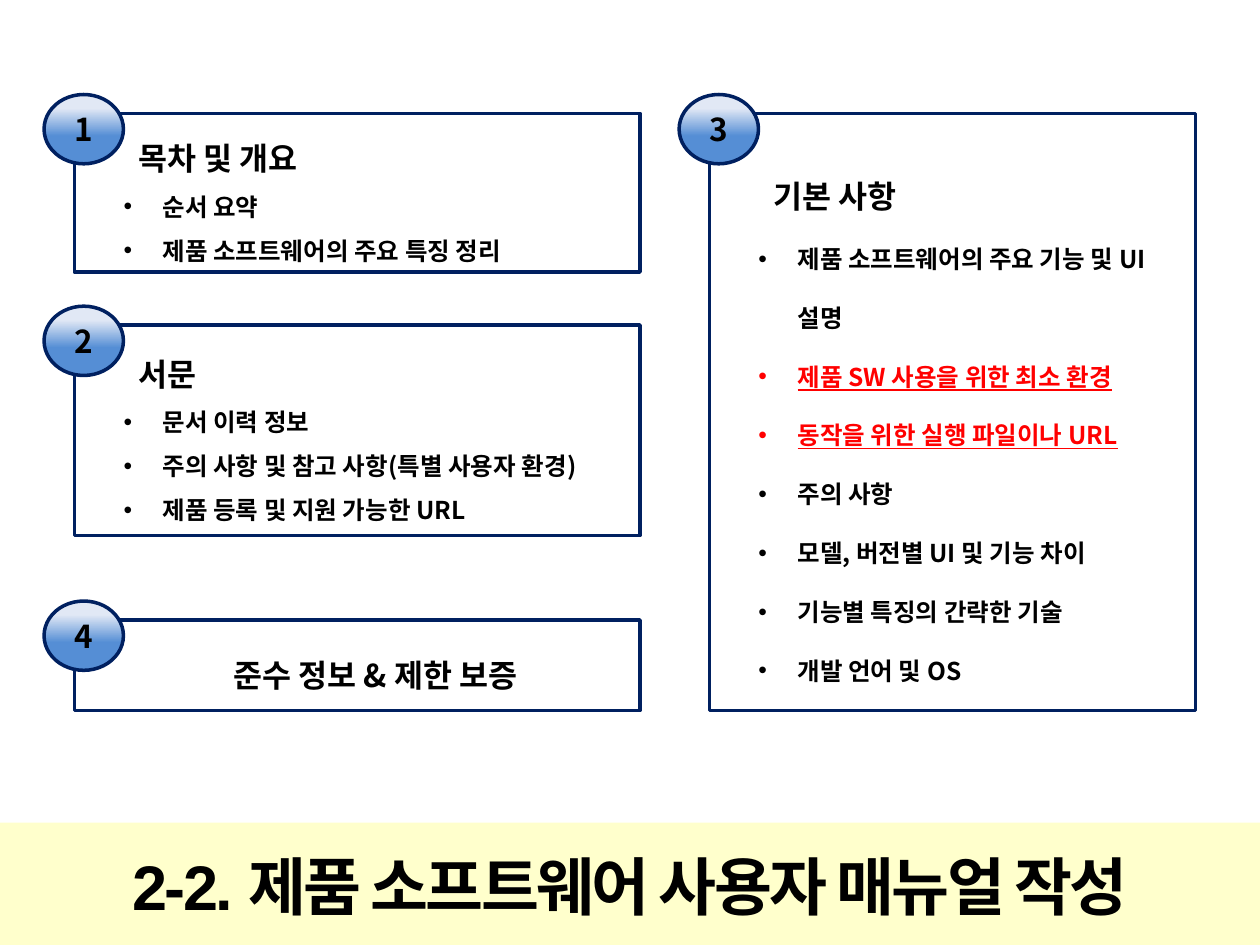
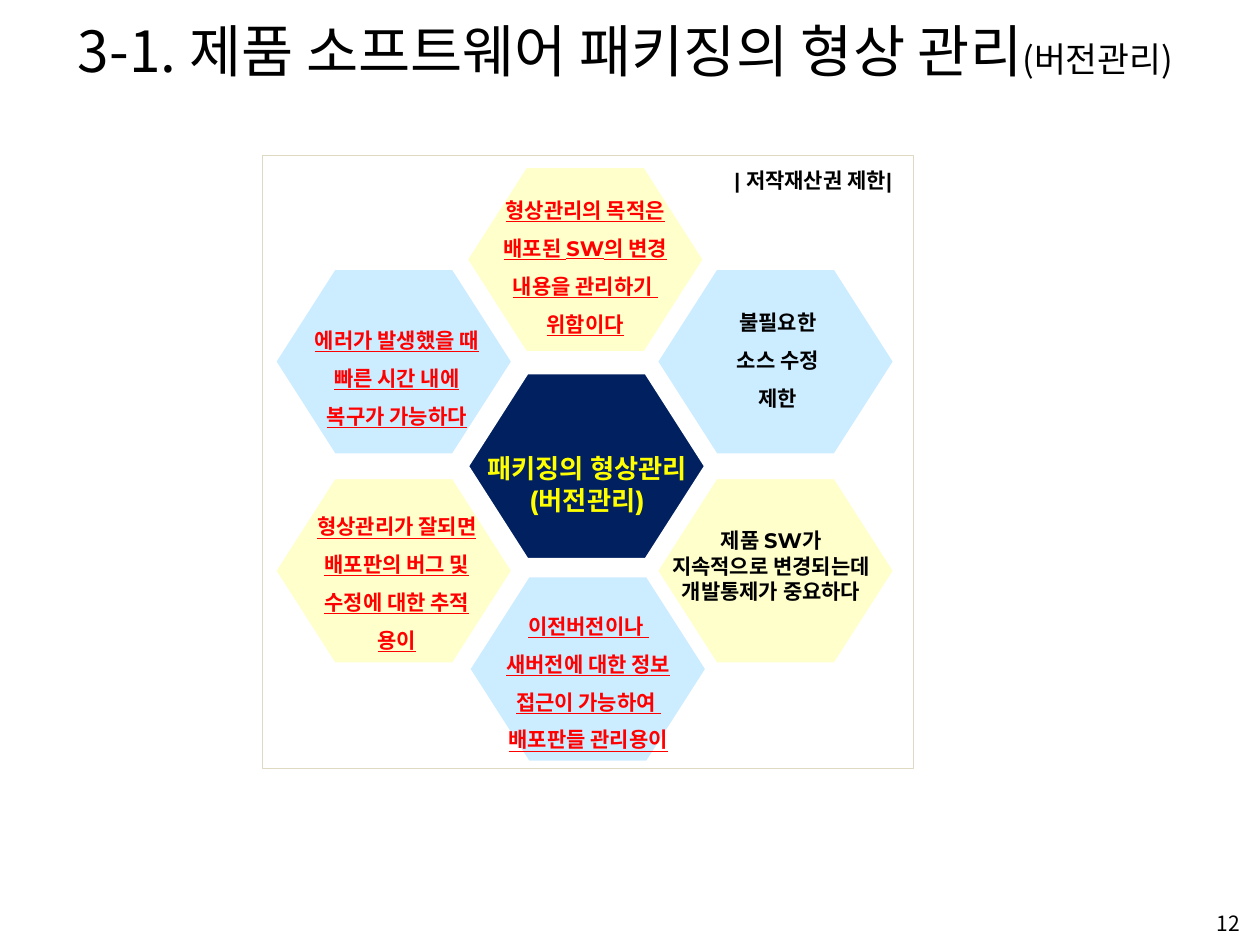
"""Build two slides on user manuals and version control of packaged software."""
from dataclasses import dataclass

from lxml.etree import SubElement
from pptx import Presentation
from pptx.dml.color import RGBColor
from pptx.enum.shapes import MSO_SHAPE
from pptx.enum.text import MSO_ANCHOR, PP_ALIGN
from pptx.oxml.ns import qn
from pptx.util import Inches, Pt


@dataclass(frozen=True)
class Theme:
    """Colours, fonts and type sizes shared by the slides."""
    black: str = "000000"
    white: str = "FFFFFF"
    red: str = "FF0000"
    yellow: str = "FFFF00"
    navy: str = "002060"
    cream: str = "FFFFCC"
    sky: str = "CCECFF"
    sand: str = "DDD9C3"
    badge_light: str = "E1E8F5"
    badge_dark: str = "558ED5"
    korean: str = "Noto Sans CJK KR"
    label_font: str = "Montserrat"
    title_font: str = "Arial"
    banner: float = 36
    title: float = 32.4
    subtitle: float = 19.8
    heading: float = 18
    core: float = 15
    body: float = 14
    label: float = 12


THEME = Theme()
HEXAGON_SIZE = (1.89, 1.48)
RED_LINES = {"제품 SW 사용을 위한 최소 환경", "동작을 위한 실행 파일이나 URL"}

PANELS = [
    ("1", (0.59, 0.9, 4.49, 1.26), 1.5, "목차 및 개요",
     ["순서 요약", "제품 소프트웨어의 주요 특징 정리"]),
    ("3", (5.63, 0.9, 3.86, 4.74), 2.0, "기본 사항",
     ["제품 소프트웨어의 주요 기능 및 UI 설명", "제품 SW 사용을 위한 최소 환경",
      "동작을 위한 실행 파일이나 URL", "주의 사항", "모델, 버전별 UI 및 기능 차이",
      "기능별 특징의 간략한 기술", "개발 언어 및 OS"]),
    ("2", (0.59, 2.58, 4.49, 1.67), 1.5, "서문",
     ["문서 이력 정보", "주의 사항 및 참고 사항(특별 사용자 환경)", "제품 등록 및 지원 가능한 URL"]),
    ("4", (0.59, 4.92, 4.49, 0.72), 1.5, "준수 정보 & 제한 보증", []),
]

RED_LABEL = {"colour": THEME.red, "underline": True, "spacing": 1.5}
HEXAGONS = [
    ((3.7, 1.32), THEME.cream, (3.84, 1.42, 1.61, 1.31), RED_LABEL,
     ["형상관리의 목적은", "배포된 SW의 변경", "내용을 관리하기 ", "위함이다"]),
    ((3.71, 2.96), THEME.navy, (3.68, 3.54, 1.96, 0.61),
     {"colour": THEME.yellow, "size": THEME.core},
     ["패키징의 형상관리", "(버전관리)"]),
    ((5.21, 2.13), THEME.sky, (5.71, 2.31, 0.93, 1.01), {"spacing": 1.5},
     ["불필요한", "소스 수정", "제한"]),
    ((2.18, 2.13), THEME.sky, (2.32, 2.45, 1.66, 1.01), RED_LABEL,
     ["에러가 발생했을 때", "빠른 시간 내에", "복구가 가능하다"]),
    ((2.18, 3.79), THEME.cream, (2.35, 3.93, 1.6, 1.31), RED_LABEL,
     ["형상관리가 잘되면", "배포판의 버그 및", "수정에 대한 추적", "용이"]),
    ((5.21, 3.79), THEME.cream, (5.15, 4.14, 1.94, 0.71), {},
     ["제품 SW가", "지속적으로 변경되는데", "개발통제가 중요하다"]),
    ((3.72, 4.57), THEME.sky, (3.84, 4.72, 1.66, 1.31), RED_LABEL,
     ["이전버전이나 ", "새버전에 대한 정보", "접근이 가능하여 ", "배포판들 관리용이"]),
]


def add_text(frame, text, *, size=THEME.label, font=THEME.korean, colour=THEME.black,
             bold=False, underline=False, align=PP_ALIGN.LEFT, spacing=None,
             indent=0, bullet=False, tracking=None, same_line=False):
    """Add text to a frame, as a new paragraph unless it continues the line."""
    paragraph = frame.paragraphs[-1]
    if paragraph.runs and not same_line:
        paragraph = frame.add_paragraph()
    paragraph.alignment = align
    if spacing:
        paragraph.line_spacing = spacing
    properties = paragraph._p.get_or_add_pPr()
    if indent:
        properties.set("marL", str(Inches(indent)))
        properties.set("indent", str(-Inches(indent) if bullet else 0))
    if bullet:
        SubElement(properties, qn("a:buFont"), typeface="Arial")
        SubElement(properties, qn("a:buChar"), char="•")
    run = paragraph.add_run()
    run.text = text
    run.font.size = Pt(size)
    run.font.name = font
    run.font.bold = bold
    run.font.underline = underline
    run.font.color.rgb = RGBColor.from_string(colour)
    run_properties = run._r.get_or_add_rPr()
    SubElement(run_properties, qn("a:ea"), typeface=THEME.korean)
    if tracking:
        run_properties.set("spc", str(int(tracking * 100)))


def set_frame(shape, *, anchor=MSO_ANCHOR.MIDDLE, wrap=True, left=0.1, vertical=0.05):
    """Set anchoring, wrapping and margins, and return the text frame."""
    frame = shape.text_frame
    frame.word_wrap = wrap
    frame.vertical_anchor = anchor
    frame.margin_left, frame.margin_right = Inches(left), Inches(0.1)
    frame.margin_top = frame.margin_bottom = Inches(vertical)
    return frame


def add_box(slide, kind, bounds, *, fill=None, line=None, width=2):
    """Add a preset shape with an optional fill and outline."""
    shape = slide.shapes.add_shape(kind, *map(Inches, bounds))
    shape.shadow.inherit = False
    if fill:
        shape.fill.solid()
        shape.fill.fore_color.rgb = RGBColor.from_string(fill)
    else:
        shape.fill.background()
    if line:
        shape.line.color.rgb = RGBColor.from_string(line)
        shape.line.width = Pt(width)
    else:
        shape.line.fill.background()
    return shape


def add_text_box(slide, bounds, **frame_format):
    """Add a text box and return its frame."""
    return set_frame(slide.shapes.add_textbox(*map(Inches, bounds)), **frame_format)


def add_badge(slide, number, left, top):
    """Add a numbered oval with a vertical gradient."""
    badge = add_box(slide, MSO_SHAPE.OVAL, (left, top, 0.63, 0.55), line=THEME.navy)
    badge.fill.gradient()
    badge.fill.gradient_angle = 270
    stops = ((0.2, THEME.badge_light), (0.6, THEME.badge_dark))
    for stop, (position, colour) in zip(badge.fill.gradient_stops, stops):
        stop.position = position
        stop.color.rgb = RGBColor.from_string(colour)
    add_text(set_frame(badge), number, size=THEME.heading, bold=True,
             align=PP_ALIGN.CENTER)


def add_panel(slide, number, bounds, spacing, heading, items):
    """Add an outlined panel with a heading, bullets and a numbered badge."""
    panel = add_box(slide, MSO_SHAPE.RECTANGLE, bounds, line=THEME.navy)
    frame = set_frame(panel, left=0.39)
    add_text(frame, heading, size=THEME.heading, bold=True, spacing=spacing,
             indent=0.12 if items else 0,
             align=PP_ALIGN.LEFT if items else PP_ALIGN.CENTER)
    for item in items:
        important = item in RED_LINES
        add_text(frame, item, size=THEME.body, bold=True, spacing=spacing,
                 indent=0.31, bullet=True, underline=important,
                 colour=THEME.red if important else THEME.black)
    add_badge(slide, number, bounds[0] - 0.24, bounds[1] - 0.15)


def add_hexagon(slide, corner, fill):
    """Add one white-edged hexagon of the honeycomb."""
    hexagon = add_box(slide, MSO_SHAPE.HEXAGON, (*corner, *HEXAGON_SIZE),
                      fill=fill, line=THEME.white, width=1.75)
    hexagon.adjustments[0] = 0.32


def add_label(slide, bounds, lines, **text_format):
    """Add centred bold lines over a hexagon."""
    frame = add_text_box(slide, bounds, anchor=MSO_ANCHOR.TOP, wrap=False)
    for line in lines:
        add_text(frame, line, font=THEME.label_font, bold=True,
                 align=PP_ALIGN.CENTER, **text_format)


def build_manual_slide(slide):
    """Show the four parts of a user manual above a title band."""
    band = add_box(slide, MSO_SHAPE.RECTANGLE, (0, 6.53, 10, 1), fill=THEME.cream)
    add_text(set_frame(band, anchor=MSO_ANCHOR.TOP, vertical=0.2),
             "2-2. 제품 소프트웨어 사용자 매뉴얼 작성", size=THEME.banner,
             font=THEME.title_font, bold=True, align=PP_ALIGN.CENTER, tracking=-1.5)
    for panel in PANELS:
        add_panel(slide, *panel)


def build_version_slide(slide):
    """Show the purposes of version control as a honeycomb."""
    title = add_text_box(slide, (0.12, 0.05, 9.69, 0.69))
    add_text(title, "3-1. 제품 소프트웨어 패키징의 형상 관리", size=THEME.title,
             align=PP_ALIGN.CENTER)
    add_text(title, "(버전관리)", size=THEME.subtitle, align=PP_ALIGN.CENTER,
             same_line=True)
    add_text(add_text_box(slide, (7.61, 7.2, 2.33, 0.25)), "12", align=PP_ALIGN.RIGHT)
    add_box(slide, MSO_SHAPE.RECTANGLE, (2.08, 1.23, 5.17, 4.87),
            line=THEME.sand, width=0.25)
    for corner, fill, *_ in HEXAGONS:
        add_hexagon(slide, corner, fill)
    for _, _, bounds, text_format, lines in HEXAGONS:
        add_label(slide, bounds, lines, **text_format)
    caption = add_text_box(slide, (5.73, 1.28, 1.57, 0.3), anchor=MSO_ANCHOR.TOP,
                           wrap=False)
    add_text(caption, "| 저작재산권 제한|", font=THEME.title_font, bold=True)


def main():
    """Build and save the presentation."""
    presentation = Presentation()
    presentation.slide_width, presentation.slide_height = Inches(10), Inches(7.5)
    blank = presentation.slide_layouts[6]
    for build in (build_manual_slide, build_version_slide):
        build(presentation.slides.add_slide(blank))
    presentation.save("out.pptx")


if __name__ == "__main__":
    main()
